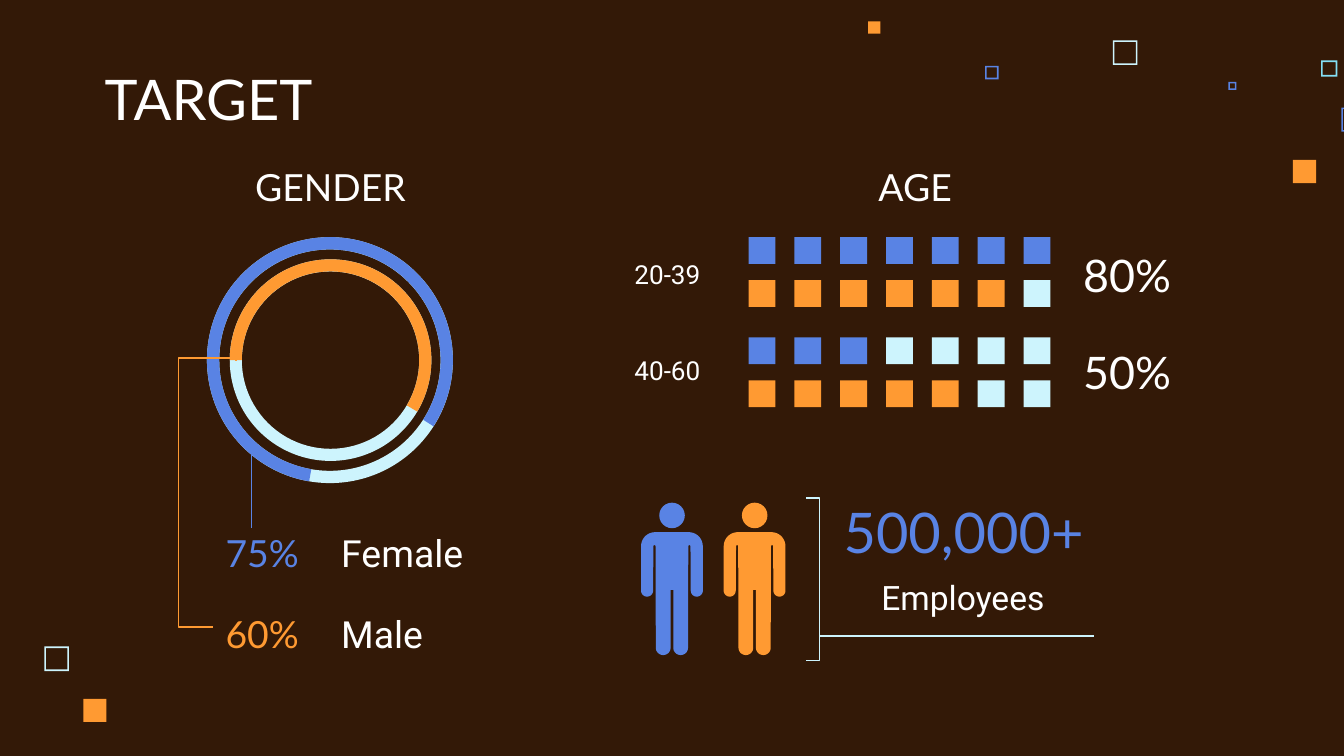
from dataclasses import dataclass
from math import cos, radians, sin
from typing import Optional

from lxml.etree import SubElement
from pptx import Presentation
from pptx.dml.color import RGBColor
from pptx.enum.shapes import MSO_CONNECTOR, MSO_SHAPE
from pptx.enum.text import MSO_ANCHOR, PP_ALIGN
from pptx.oxml.ns import qn
from pptx.util import Emu, Inches, Pt

COLUMNS = 100
ROWS = 56.25
CELL = Inches(0.1)
BLUE, ORANGE, PALE, AQUA = "5983E4", "FF9A32", "CDF4FD", "83DFF5"
WHITE, BROWN = "FFFFFF", "331907"
TOP, MIDDLE, BOTTOM = MSO_ANCHOR.TOP, MSO_ANCHOR.MIDDLE, MSO_ANCHOR.BOTTOM
LEFT, CENTER, RIGHT = PP_ALIGN.LEFT, PP_ALIGN.CENTER, PP_ALIGN.RIGHT


@dataclass
class Ornament:
    column: float
    row: float
    size: float
    color: str
    hollow: bool = True


@dataclass
class Label:
    text: str
    column: float
    row: float
    width: float
    size: int
    font: str = "Lato"
    color: str = WHITE
    align: PP_ALIGN = LEFT
    anchor: MSO_ANCHOR = TOP
    height: float = 4.3


@dataclass
class Ring:
    column: float
    row: float
    size: float
    thickness: float
    start: float
    end: float
    color: str


@dataclass
class IconRow:
    row: float
    filled: int
    color: str


ORNAMENTS = [
    Ornament(82.8, 3, 1.83, PALE),
    Ornament(98.3, 4.5, 1.2, AQUA),
    Ornament(91.4, 6.1, 0.6, BLUE),
    Ornament(99.8, 8, 1.8, BLUE),
    Ornament(96.2, 11.9, 1.72, ORANGE, False),
    Ornament(73.3, 4.9, 1, BLUE),
    Ornament(64.6, 1.6, 0.9, ORANGE, False),
    Ornament(3.3, 48.1, 1.83, PALE),
    Ornament(6.2, 52, 1.72, ORANGE, False),
]
RINGS = [
    Ring(15.4, 17.65, 18.3, 0.05, 99.7, 32.6, BLUE),
    Ring(17.1, 19.3, 15, 0.06, 180, 30.7, ORANGE),
]
ICON_ROWS = [
    IconRow(17.65, 7, BLUE),
    IconRow(20.85, 6, ORANGE),
    IconRow(25.1, 3, BLUE),
    IconRow(28.3, 5, ORANGE),
]
LABELS = [
    Label("TARGET", 6.8, 4.5, 51.7, 30, anchor=BOTTOM, height=6.3),
    Label("GENDER", 14.3, 11.2, 20.6, 20, align=CENTER),
    Label("AGE", 57.8, 11.2, 20.6, 20, align=CENTER),
    Label("75%", 15.8, 38.45, 9.2, 20, color=BLUE),
    Label("60%", 15.8, 44.5, 9.2, 20, color=ORANGE),
    Label("Female", 24.4, 38.45, 13.2, 20, "Roboto"),
    Label("Male", 24.4, 44.5, 9.2, 20, "Roboto"),
    Label("20-39", 39.9, 18.25, 13.2, 14, "Roboto", align=RIGHT, anchor=MIDDLE),
    Label("40-60", 43.9, 25.35, 9.2, 14, "Roboto", align=RIGHT, anchor=MIDDLE),
    Label("80%", 79.6, 18.3, 13.2, 24, anchor=MIDDLE),
    Label("50%", 79.6, 25.5, 9.2, 24, anchor=MIDDLE),
    Label("500,000+", 60.7, 37.4, 22, 30, color=BLUE, align=CENTER, anchor=MIDDLE),
    Label("Employees", 62.1, 41.9, 19.1, 18, "Roboto", align=CENTER),
]


def grid(cells: float) -> Emu:
    return Emu(round(cells * CELL))


def paint(color_format, color: str) -> None:
    color_format.rgb = RGBColor.from_string(color)


def style(shape, fill: Optional[str], line: Optional[str] = None) -> None:
    shape.shadow.inherit = False
    if fill:
        shape.fill.solid()
        paint(shape.fill.fore_color, fill)
    else:
        shape.fill.background()
    if line:
        paint(shape.line.color, line)
        shape.line.width = Pt(0.75)
    else:
        shape.line.fill.background()


def add_preset(page, preset, column: float, row: float, width: float, height: float,
               fill: Optional[str], line: Optional[str] = None, adjustments=()):
    shape = page.shapes.add_shape(preset, grid(column), grid(row), grid(width), grid(height))
    for index, value in enumerate(adjustments):
        shape.adjustments[index] = value
    style(shape, fill, line)
    return shape


def add_ornament(page, item: Ornament) -> None:
    preset = MSO_SHAPE.FRAME if item.hollow else MSO_SHAPE.RECTANGLE
    adjustments = [0.12 / item.size] if item.hollow else []
    add_preset(page, preset, item.column, item.row, item.size, item.size, item.color,
               adjustments=adjustments)


def add_ring(page, ring: Ring) -> None:
    place = (ring.column, ring.row, ring.size, ring.size)
    add_preset(page, MSO_SHAPE.DONUT, *place, PALE, adjustments=[ring.thickness])
    add_preset(page, MSO_SHAPE.BLOCK_ARC, *place, ring.color,
               adjustments=[ring.start * 0.6, ring.end * 0.6, ring.thickness])


def add_label(page, label: Label) -> None:
    box = page.shapes.add_textbox(grid(label.column), grid(label.row),
                                  grid(label.width), grid(label.height))
    frame = box.text_frame
    frame.word_wrap = True
    frame.vertical_anchor = label.anchor
    frame.margin_left = frame.margin_right = frame.margin_top = frame.margin_bottom = CELL
    para = frame.paragraphs[0]
    para.text = label.text
    para.alignment = label.align
    para.font.name = label.font
    para.font.size = Pt(label.size)
    paint(para.font.color, label.color)


def add_line(page, kind, start: tuple[float, float], end: tuple[float, float], color: str):
    line = page.shapes.add_connector(kind, *map(grid, start + end))
    paint(line.line.color, color)
    line.line.width = Pt(0.75)
    SubElement(line._element.spPr, qn("a:effectLst"))
    return line


def add_bent_leader(page) -> None:
    leader = add_line(page, MSO_CONNECTOR.ELBOW, (6.8, 35.9), (26.6, 37.6), ORANGE)
    leader._element.spPr.find(qn("a:xfrm")).set("rot", str(90 * 60000))
    geometry = leader._element.spPr.find(qn("a:prstGeom"))
    geometry.set("prst", "bentConnector4")
    guides = geometry.find(qn("a:avLst"))
    for name, value in (("adj1", -1100), ("adj2", 250500)):
        SubElement(guides, qn("a:gd"), name=name, fmla=f"val {value}")


def arc(column: float, row: float, radius: float, start: int, end: int):
    step = 10 if end > start else -10
    return [(column + radius * cos(radians(angle)), row + radius * sin(radians(angle)))
            for angle in range(start, end + step, step)]


def add_person(page, column: float, color: str) -> None:
    width, top = 4.6, 39.6
    half = (arc(1.05, 1.05, 1.05, 270, 180) + arc(0.45, 4.35, 0.45, 180, 0)
            + arc(1, 1.05, 0.08, 180, 360) + arc(1.65, 8.6, 0.55, 180, 0) + [(2.2, 4.3)])
    outline = half + [(width - x, y) for x, y in reversed(half)]
    points = [(grid(column + x), grid(top + y)) for x, y in outline]
    builder = page.shapes.build_freeform(*points[0])
    builder.add_line_segments(points[1:], close=True)
    style(builder.convert_to_shape(), color)
    add_preset(page, MSO_SHAPE.OVAL, column + 1.35, 37.4, 1.9, 1.9, color)


def main() -> None:
    deck = Presentation()
    deck.slide_width, deck.slide_height = grid(COLUMNS), grid(ROWS)
    page = deck.slides.add_slide(deck.slide_layouts[6])
    page.background.fill.solid()
    paint(page.background.fill.fore_color, BROWN)
    for ornament in ORNAMENTS:
        add_ornament(page, ornament)
    for ring in RINGS:
        add_ring(page, ring)
    add_bent_leader(page)
    add_line(page, MSO_CONNECTOR.STRAIGHT, (18.7, 39.3), (18.7, 33.6), BLUE)
    for icons in ICON_ROWS:
        for index in range(7):
            color = icons.color if index < icons.filled else PALE
            add_preset(page, MSO_SHAPE.RECTANGLE, 55.7 + 3.41 * index, icons.row, 2, 2, color)
    add_person(page, 47.7, BLUE)
    add_person(page, 53.85, ORANGE)
    brace_top, brace_height, tip_share = 37.05, 12.1, 0.85
    tip_row = brace_top + brace_height * tip_share
    add_preset(page, MSO_SHAPE.RIGHT_BRACE, 60, brace_top, 2, brace_height, None, PALE,
               [0, tip_share])
    add_line(page, MSO_CONNECTOR.STRAIGHT, (62, tip_row), (81.4, tip_row), PALE)
    for label in LABELS:
        add_label(page, label)
    deck.save("out.pptx")


if __name__ == "__main__":
    main()
